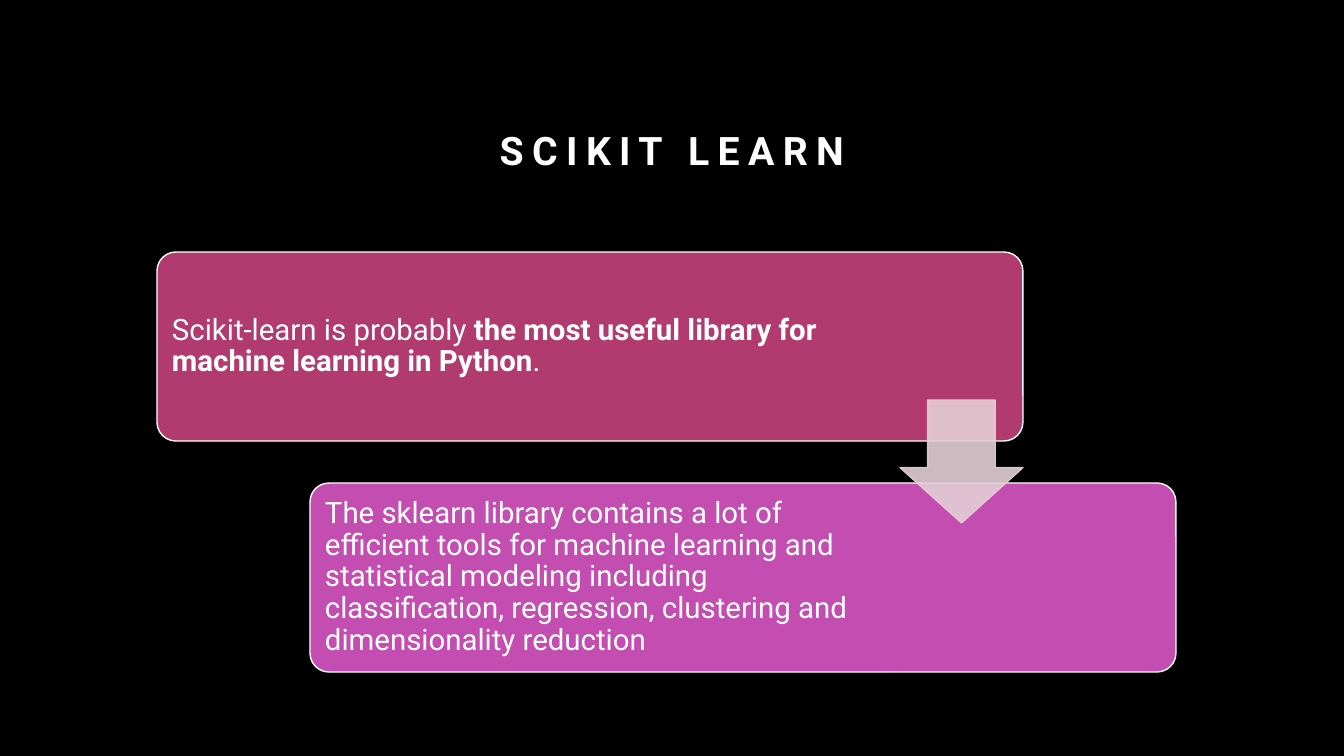
from dataclasses import dataclass

from lxml.etree import SubElement
from pptx import Presentation
from pptx.dml.color import RGBColor
from pptx.enum.shapes import MSO_SHAPE as Preset
from pptx.enum.text import MSO_ANCHOR as Anchor, MSO_AUTO_SIZE as AutoSize, PP_ALIGN as Align
from pptx.oxml.ns import qn
from pptx.util import Pt


@dataclass(frozen=True)
class Theme:
    font: str = "Roboto"
    background: str = "000000"
    text: str = "FFFFFF"
    arrow: str = "E4CED5"
    arrow_opacity: int = 90
    title_size: int = 28
    title_tracking: int = 6
    body_size: int = 21
    outline: int = 1


THEME = Theme()
HEADING = "SCIKIT LEARN"
STEPS = [
    {"fill": "B13B6E", "text_width": 670, "runs": [
        ("Scikit-learn is probably ", False),
        ("the most useful library for machine learning in Python", True),
        (".", False),
    ]},
    {"fill": "C34DB1", "text_width": 579, "runs": [
        ("The sklearn library contains a lot of efficient tools for machine learning and "
         "statistical modeling including classification, regression, clustering and "
         "dimensionality reduction", False),
    ]},
]

EMU_PER_PX = 914400 / 100.8
SLIDE_SIZE = (1344, 756)
HEADING_BOX = (168, 84, 1008, 94)
CARD_LEFT, CARD_TOP, CARD_WIDTH, CARD_HEIGHT = 157, 252, 866, 189
STEP_RIGHT, STEP_DOWN = 153, 231
CARD_PADDING, TEXT_INSET = 6, 9
ARROW_SIZE, ARROW_OVERLAP = 123, 41


def px(*lengths):
    return [round(length * EMU_PER_PX) for length in lengths]


def color(code):
    return RGBColor.from_string(code)


def paint(shape, fill, line, opacity=100):
    shape.shadow.inherit = False
    shape.fill.solid()
    shape.fill.fore_color.rgb = color(fill)
    shape.line.color.rgb = color(line)
    shape.line.width = Pt(THEME.outline)
    if opacity < 100:
        for paint_color in shape._element.spPr.iter(qn("a:srgbClr")):
            SubElement(paint_color, qn("a:alpha"), val=str(opacity * 1000))


def add_run(paragraph, text, size, bold):
    run = paragraph.add_run()
    run.text = text
    run.font.name = THEME.font
    run.font.size = Pt(size)
    run.font.bold = bold
    run.font.color.rgb = color(THEME.text)
    return run


def add_heading(slide):
    heading = slide.shapes.title
    heading.left, heading.top, heading.width, heading.height = px(*HEADING_BOX)
    frame = heading.text_frame
    frame.vertical_anchor = Anchor.BOTTOM
    frame.auto_size = AutoSize.NONE
    line = frame.paragraphs[0]
    line.alignment = Align.CENTER
    line.line_spacing = 1.2
    run = add_run(line, HEADING, THEME.title_size, True)
    run.font._element.set("spc", str(THEME.title_tracking * 100))


def add_step(slide, index, step):
    left = CARD_LEFT + index * STEP_RIGHT
    top = CARD_TOP + index * STEP_DOWN
    card = slide.shapes.add_shape(Preset.ROUNDED_RECTANGLE, *px(left, top, CARD_WIDTH, CARD_HEIGHT))
    card.adjustments[0] = 0.1
    paint(card, step["fill"], THEME.text)

    statement = slide.shapes.add_textbox(*px(
        left + CARD_PADDING, top + CARD_PADDING,
        step["text_width"], CARD_HEIGHT - 2 * CARD_PADDING))
    frame = statement.text_frame
    frame.word_wrap = True
    frame.vertical_anchor = Anchor.MIDDLE
    frame.margin_left, frame.margin_top, frame.margin_right, frame.margin_bottom = px(*[TEXT_INSET] * 4)
    sentence = frame.paragraphs[0]
    sentence.line_spacing = 0.9
    for text, bold in step["runs"]:
        add_run(sentence, text, THEME.body_size, bold)


def add_arrow(slide):
    left = CARD_LEFT + CARD_WIDTH - ARROW_SIZE
    top = CARD_TOP + CARD_HEIGHT - ARROW_OVERLAP
    arrow = slide.shapes.add_shape(Preset.DOWN_ARROW, *px(left, top, ARROW_SIZE, ARROW_SIZE))
    arrow.adjustments[0] = 0.55
    arrow.adjustments[1] = 0.45
    paint(arrow, THEME.arrow, THEME.arrow, THEME.arrow_opacity)


def main():
    deck = Presentation()
    deck.slide_width, deck.slide_height = px(*SLIDE_SIZE)
    slide = deck.slides.add_slide(deck.slide_layouts[5])
    slide.background.fill.solid()
    slide.background.fill.fore_color.rgb = color(THEME.background)
    add_heading(slide)
    for index, step in enumerate(STEPS):
        add_step(slide, index, step)
    add_arrow(slide)
    deck.save("out.pptx")


if __name__ == "__main__":
    main()
